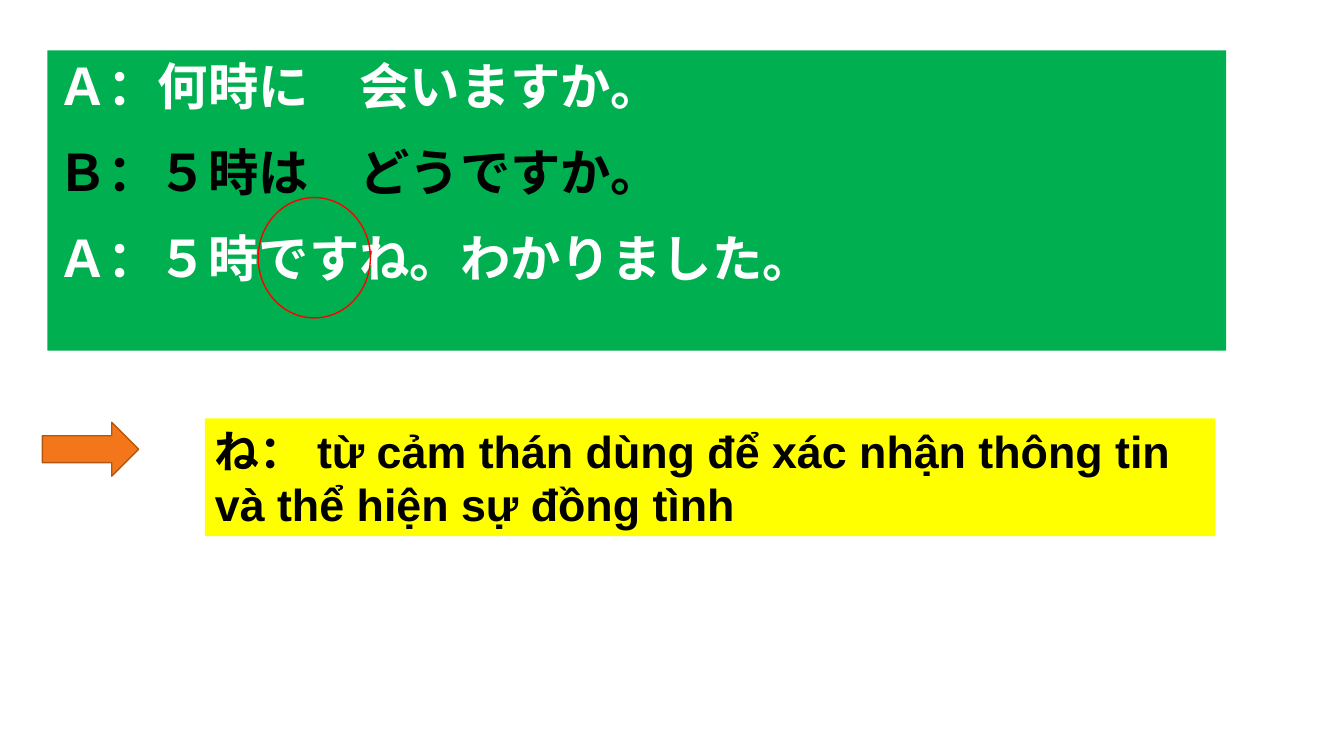
import pptx
import pptx.dml.color
import pptx.enum.shapes
import pptx.enum.text
import pptx.oxml.ns
import pptx.util
from lxml import etree

Pt = pptx.util.Pt
SHAPES = pptx.enum.shapes.MSO_SHAPE

# Content
COLORS = {
    "green": "00B050", "yellow": "FFFF00", "orange": "F3771A",
    "brown": "B35610", "red": "FF0000", "white": "FFFFFF", "black": "000000",
}
DIALOGUE = [
    ("Ａ：何時に　会いますか。", "white"),
    ("Ｂ：５時は　どうですか。", "black"),
    ("Ａ：５時ですね。わかりました。", "white"),
]
EXPLANATION = [
    ("ね： từ cảm thán dùng để xác nhận thông tin và thể hiện sự đồng tình", "black"),
]

# Left, top, width, height in points
DIALOGUE_BOX = (33.84, 36, 842.4, 214.56)
PARTICLE_RING = (184.5, 141.1, 80.2, 86)
ARROW_BOX = (30.24, 301.7, 68.8, 38.4)
EXPLANATION_BOX = (146.5, 298.8, 722.2, 84.2)


def rgb(name):
    return pptx.dml.color.RGBColor.from_string(COLORS[name])


def add_block(slide, kind, box, fill=None, line=None):
    shape = slide.shapes.add_shape(kind, *map(Pt, box))
    shape.shadow.inherit = False
    if fill:
        shape.fill.solid()
        shape.fill.fore_color.rgb = rgb(fill)
    else:
        shape.fill.background()
    if line:
        shape.line.color.rgb = rgb(line)
        shape.line.width = Pt(1)
    else:
        shape.line.fill.background()
    return shape


def write_text(shape, lines, font, size, gap=0, hanging=0):
    frame = shape.text_frame
    frame.word_wrap = True
    frame.vertical_anchor = pptx.enum.text.MSO_ANCHOR.TOP
    for index, (text, color) in enumerate(lines):
        paragraph = frame.add_paragraph() if index else frame.paragraphs[0]
        paragraph.alignment = pptx.enum.text.PP_ALIGN.LEFT
        paragraph.space_before = Pt(gap if index else 0)
        if hanging:
            properties = paragraph._p.get_or_add_pPr()
            properties.set("marL", str(Pt(hanging)))
            properties.set("indent", str(-Pt(hanging)))
        run = paragraph.add_run()
        run.text = text
        run.font.name = font
        run.font.size = Pt(size)
        run.font.bold = True
        run.font.color.rgb = rgb(color)
        # Japanese characters take the East Asian font
        east_asian = etree.SubElement(run._r.get_or_add_rPr(), pptx.oxml.ns.qn("a:ea"))
        east_asian.set("typeface", font)


presentation = pptx.Presentation()
presentation.slide_width = Pt(960.48)
presentation.slide_height = Pt(540)
slide = presentation.slides.add_slide(presentation.slide_layouts[6])

# Dialogue with the particle circled
dialogue = add_block(slide, SHAPES.RECTANGLE, DIALOGUE_BOX, fill="green")
write_text(dialogue, DIALOGUE, "Lato", 36, gap=18, hanging=27)
add_block(slide, SHAPES.OVAL, PARTICLE_RING, line="red")

# Arrow and explanation
add_block(slide, SHAPES.RIGHT_ARROW, ARROW_BOX, fill="orange", line="brown")
explanation = add_block(slide, SHAPES.RECTANGLE, EXPLANATION_BOX, fill="yellow")
write_text(explanation, EXPLANATION, "Arial", 32)

presentation.save("out.pptx")
